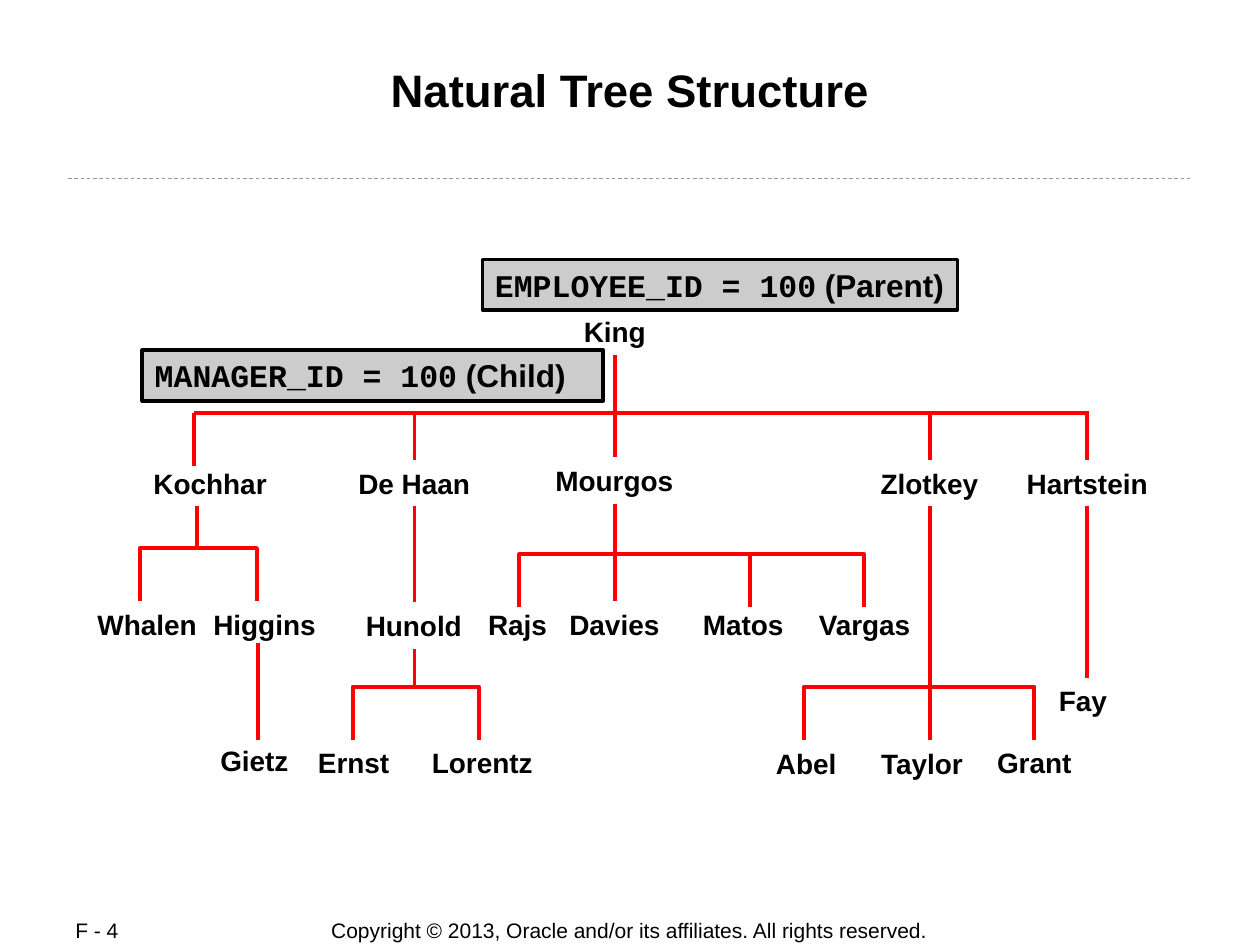
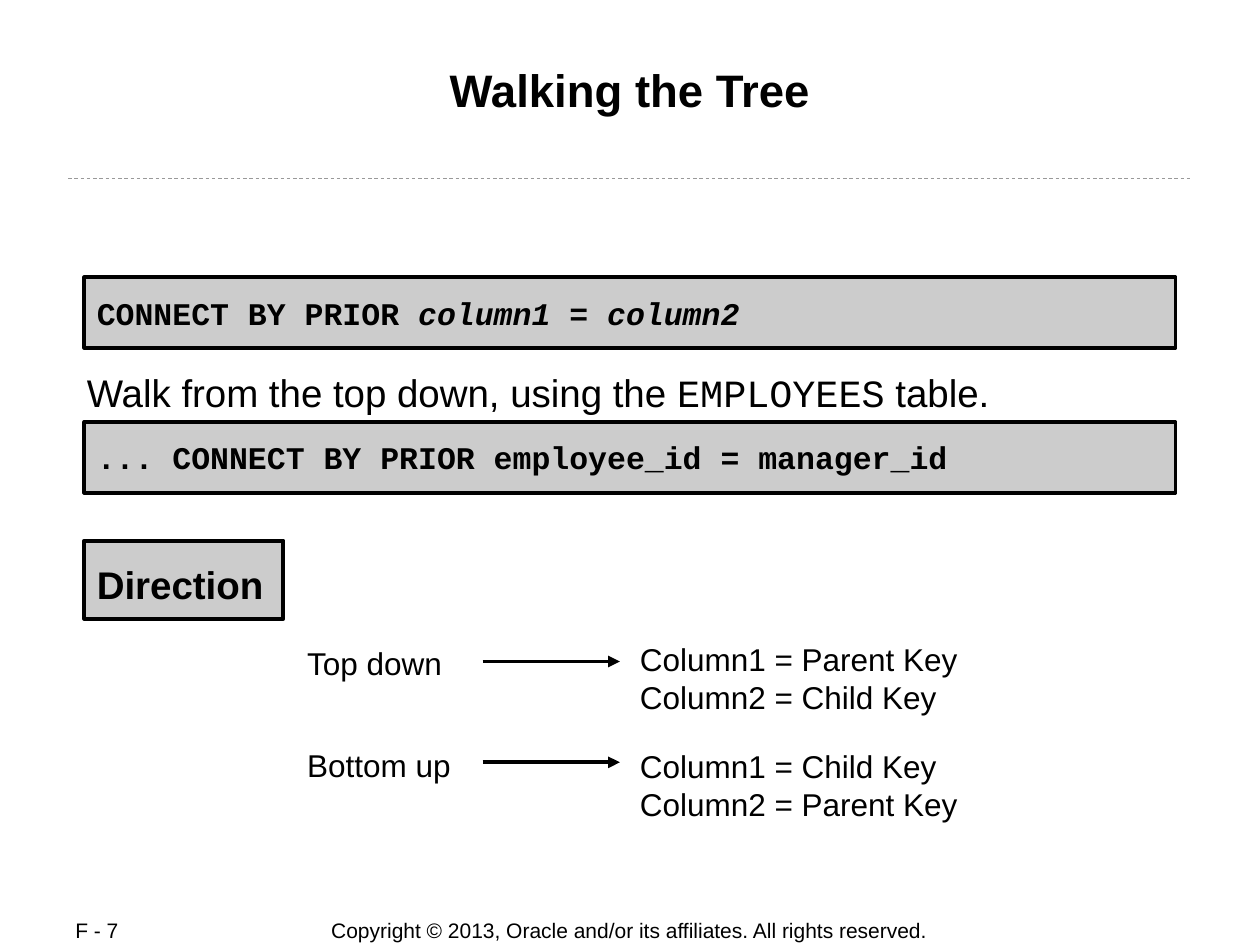
import pptx
import pptx.dml.color
import pptx.enum.dml
import pptx.enum.shapes
import pptx.enum.text
import pptx.oxml.ns
import pptx.util
from lxml import etree

Inches = pptx.util.Inches
Align = pptx.enum.text.PP_ALIGN
Anchor = pptx.enum.text.MSO_ANCHOR

SANS, MONO = "Arial", "Courier New"
BLACK, RED, PANEL, RULE = "000000", "FF0000", "CCCCCC", "999999"
BOTTOM, TOP = 2, 0
COPYRIGHT = "Copyright © 2013, Oracle and/or its affiliates. All rights reserved."

NAMES = {
    "King": (4.88, 2.45, 0.69),
    "Kochhar": (1.67, 3.65, 1.1),
    "De Haan": (3.29, 3.65, 1.09),
    "Mourgos": (4.88, 3.63, 1.14),
    "Zlotkey": (7.38, 3.65, 0.98),
    "Hartstein": (8.63, 3.65, 1.16),
    "Whalen": (1.17, 4.77, 0.99),
    "Higgins": (2.1, 4.77, 1.01),
    "Hunold": (3.29, 4.78, 0.97),
    "Rajs": (4.11, 4.77, 0.67),
    "Davies": (4.88, 4.77, 0.92),
    "Matos": (5.9, 4.77, 0.84),
    "Vargas": (6.87, 4.77, 0.94),
    "Gietz": (2.02, 5.85, 0.74),
    "Ernst": (2.81, 5.87, 0.77),
    "Lorentz": (3.83, 5.87, 1),
    "Abel": (6.4, 5.88, 0.68),
    "Taylor": (7.33, 5.88, 0.87),
    "Grant": (8.21, 5.87, 0.79),
    "Fay": (8.63, 5.38, 0.65),
}


def colour(hex_code):
    """Return the colour for a hex string."""
    return pptx.dml.color.RGBColor.from_string(hex_code)


def style_line(line, hex_code, width):
    """Set the colour and width of a line."""
    line.color.rgb = colour(hex_code)
    line.width = pptx.util.Pt(width)


def write(shape, paragraphs, size, bold=False, align=Align.LEFT,
          anchor=Anchor.TOP, inset=(0.1, 0.05), wrap=False):
    """Fill a shape with paragraphs, each a list of (text, font, italic) runs."""
    frame = shape.text_frame
    frame.word_wrap = wrap
    frame.vertical_anchor = anchor
    frame.margin_left = frame.margin_right = Inches(inset[0])
    frame.margin_top = frame.margin_bottom = Inches(inset[1])
    for index, runs in enumerate(paragraphs):
        paragraph = frame.add_paragraph() if index else frame.paragraphs[0]
        paragraph.alignment = align
        for text, font, italic in runs:
            run = paragraph.add_run()
            run.text = text
            run.font.name = font
            run.font.size = pptx.util.Pt(size)
            run.font.bold = bold
            run.font.italic = italic
            run.font.color.rgb = colour(BLACK)


def sans(*lines):
    """Return one plain paragraph for each line of text."""
    return [[(line, SANS, False)] for line in lines]


def add_text(slide, box, paragraphs, size, **options):
    """Add a text box at (left, top, width, height)."""
    shape = slide.shapes.add_textbox(*map(Inches, box))
    write(shape, paragraphs, size, **options)
    return shape


def add_panel(slide, box, paragraphs, size=18, **options):
    """Add a grey panel with a black border and bold text."""
    shape = slide.shapes.add_shape(
        pptx.enum.shapes.MSO_SHAPE.RECTANGLE, *map(Inches, box))
    shape.shadow.inherit = False
    shape.fill.solid()
    shape.fill.fore_color.rgb = colour(PANEL)
    style_line(shape.line, BLACK, 2.25)
    write(shape, paragraphs, size, bold=True, **options)
    return shape


def add_line(slide, start, end, hex_code=RED, width=2.25):
    """Add a straight line between two points."""
    connector = slide.shapes.add_connector(
        pptx.enum.shapes.MSO_CONNECTOR.STRAIGHT, *map(Inches, (*start, *end)))
    style_line(connector.line, hex_code, width)
    etree.SubElement(connector._element.spPr, pptx.oxml.ns.qn("a:effectLst"))
    return connector


def add_arrow(slide, start, end):
    """Add a black line with a triangular head at its end."""
    connector = add_line(slide, start, end, BLACK)
    etree.SubElement(connector.line._get_or_add_ln(),
                     pptx.oxml.ns.qn("a:tailEnd"), type="triangle")


def add_bracket(slide, left, right, top):
    """Add an open bracket that drops from a bar to two children."""
    drop = top + 0.42
    points = [(Inches(x), Inches(y)) for x, y in
              [(left, drop), (left, top), (right, top), (right, drop)]]
    builder = slide.shapes.build_freeform(*points[0])
    builder.add_line_segments(points[1:], close=False)
    shape = builder.convert_to_shape()
    shape.shadow.inherit = False
    shape.fill.background()
    style_line(shape.line, RED, 2.25)


def add_name(slide, name):
    """Add an employee's name centred on its column."""
    centre, top, width = NAMES[name]
    return add_text(slide, (centre - width / 2, top, width, 0.37),
                    sans(name), 16, bold=True)


def add_base(presentation, title, page):
    """Add a slide with title, rule and footer."""
    slide = presentation.slides.add_slide(presentation.slide_layouts[6])
    add_text(slide, (2.25, 7.28, 5.49, 0.21), sans(COPYRIGHT), 12,
             align=Align.CENTER, anchor=Anchor.MIDDLE, wrap=True)
    add_text(slide, (0.5, 7.28, 1.06, 0.2), sans(page), 12,
             align=Align.JUSTIFY, anchor=Anchor.MIDDLE, wrap=True)
    rule = add_line(slide, (0.54, 1.42), (9.46, 1.42), RULE, 0.5)
    rule.line.dash_style = pptx.enum.dml.MSO_LINE.DASH
    add_text(slide, (0.67, 0.48, 8.66, 0.94), sans(title), 26, bold=True,
             align=Align.CENTER, inset=(0.01, 0.01), wrap=True)
    return slide


def add_tree_slide(presentation):
    """Add the slide with the employee tree."""
    slide = add_base(presentation, "Natural Tree Structure", "F - 4")
    boxes = {name: add_name(slide, name) for name in NAMES}
    bar, lower_bar, last_bar = 3.28, 4.4, 5.45

    add_line(slide, (1.54, bar), (8.64, bar))
    add_line(slide, (1.54, bar), (1.54, 3.7))
    for name in ("De Haan", "Zlotkey", "Hartstein"):
        centre, top, _ = NAMES[name]
        stem = add_line(slide, (centre, bar), (centre, top))
        stem.end_connect(boxes[name], TOP)

    for parent, child in (("King", "Mourgos"), ("Mourgos", "Davies"),
                          ("De Haan", "Hunold"), ("Hartstein", "Fay")):
        centre, top, _ = NAMES[parent]
        stem = add_line(slide, (centre, top + 0.37), (centre, NAMES[child][1]))
        stem.begin_connect(boxes[parent], BOTTOM)
        stem.end_connect(boxes[child], TOP)

    for parent, end in (("Hunold", last_bar), ("Zlotkey", 5.87)):
        centre, top, _ = NAMES[parent]
        stem = add_line(slide, (centre, top + 0.37), (centre, end))
        stem.begin_connect(boxes[parent], BOTTOM)
    add_line(slide, (1.56, 4.02), (1.56, 4.35))
    add_line(slide, (2.05, 5.1), (2.05, 5.87))

    for left, right, top in ((1.11, 2.04, 4.35), (4.12, 5.95, lower_bar),
                             (5.95, 6.86, lower_bar), (2.8, 3.8, last_bar),
                             (6.38, 8.21, last_bar)):
        add_bracket(slide, left, right, top)

    for box, key, role, wrap in (
            ((3.83, 2.06, 3.77, 0.4), "EMPLOYEE_ID", "Parent", False),
            ((1.13, 2.78, 3.66, 0.4), "MANAGER_ID", "Child", True)):
        add_panel(slide, box, [[(f"{key} = 100", MONO, False),
                                (f" ({role})", SANS, False)]], wrap=wrap)


def add_walk_slide(presentation):
    """Add the slide on walking the tree."""
    slide = add_base(presentation, "Walking the Tree", "F - 7")
    add_text(slide, (0.68, 2.92, 8.65, 0.38),
             [[("Walk from the top down, using the ", SANS, False),
               ("EMPLOYEES", MONO, False), (" table.", SANS, False)]],
             22, inset=(0.01, 0.01), wrap=True)

    syntax = [("CONNECT BY PRIOR ", MONO, False), ("column1", MONO, True),
              (" = ", MONO, False), ("column2", MONO, True)]
    example = [("... CONNECT BY PRIOR employee_id = manager_id", MONO, False)]
    for top, code in ((2.2, syntax), (3.35, example)):
        add_panel(slide, (0.67, top, 8.66, 0.56), [code], anchor=Anchor.MIDDLE)

    direction = add_panel(slide, (0.67, 4.29, 1.58, 0.62), sans("Direction"),
                          22, anchor=Anchor.MIDDLE)
    direction.text_frame.paragraphs[0].line_spacing = 1.2

    for label, label_top, arrow_y, keys_top, keys in (
            ("Top down", 5.06, 5.25, 5.03, ("Parent", "Child")),
            ("Bottom up", 5.87, 6.05, 5.88, ("Child", "Parent"))):
        add_text(slide, (2.34, label_top, 1.5, 0.4), sans(label), 18, wrap=True)
        add_arrow(slide, (3.83, arrow_y), (4.92, arrow_y))
        lines = [f"Column{number} = {key} Key"
                 for number, key in enumerate(keys, 1)]
        add_text(slide, (4.98, keys_top, 2.72, 0.7), sans(*lines), 18)


def main():
    """Build and save the presentation."""
    presentation = pptx.Presentation()
    presentation.slide_width = Inches(10)
    presentation.slide_height = Inches(7.5)
    add_tree_slide(presentation)
    add_walk_slide(presentation)
    presentation.save("out.pptx")


if __name__ == "__main__":
    main()
